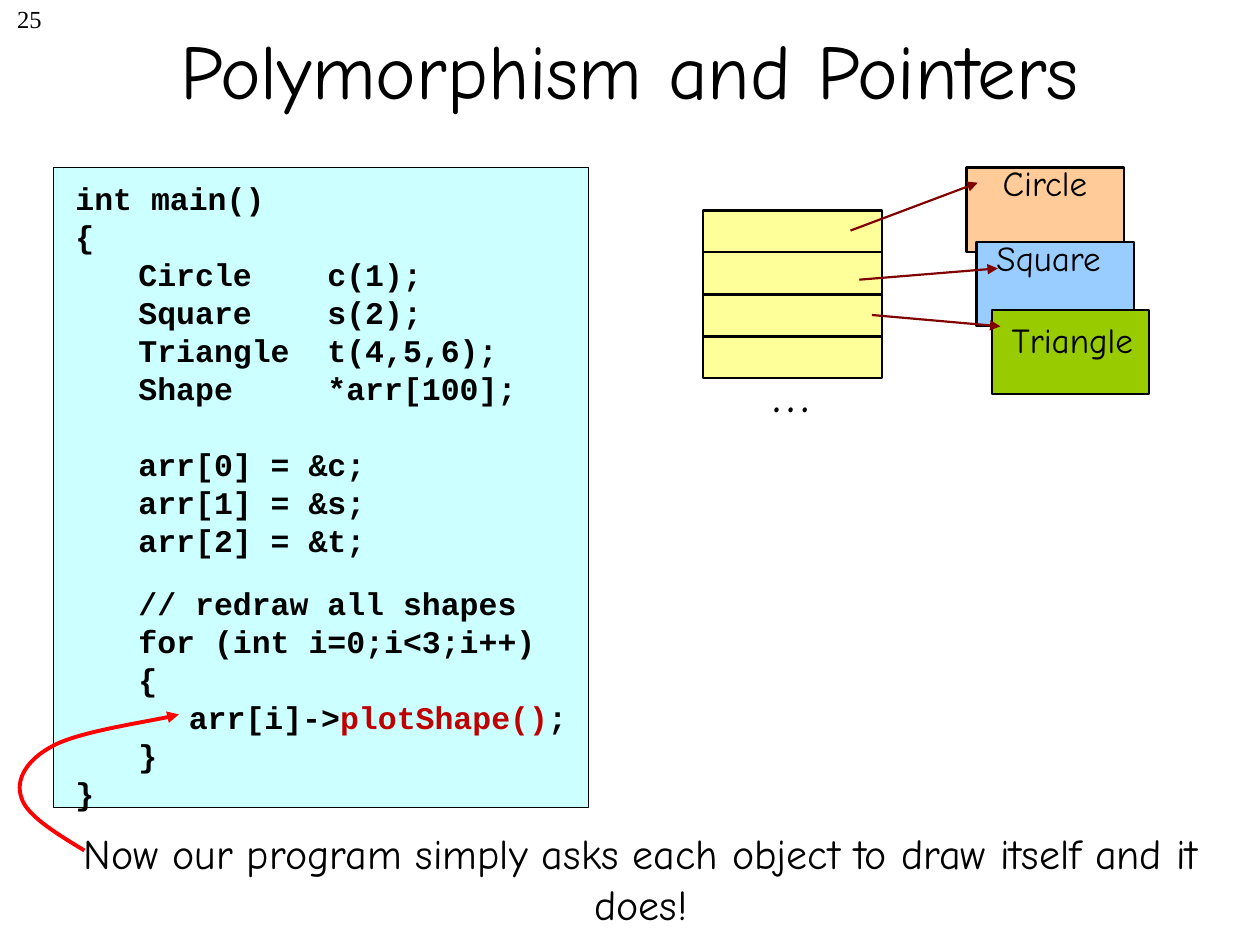
from pptx import Presentation
from pptx.dml.color import RGBColor
from pptx.enum.shapes import MSO_CONNECTOR, MSO_SHAPE
from pptx.enum.text import MSO_ANCHOR, PP_ALIGN
from pptx.oxml.ns import qn
from pptx.util import Inches, Pt
from lxml import etree

RECT, LINE = MSO_SHAPE.RECTANGLE, MSO_CONNECTOR.STRAIGHT
LEFT, CENTER, RIGHT = PP_ALIGN.LEFT, PP_ALIGN.CENTER, PP_ALIGN.RIGHT
MIDDLE = MSO_ANCHOR.MIDDLE

TITLE = "Polymorphism and Pointers"
CAPTION = "Now our program simply asks each object to draw itself and it does!"
CALL = "plotShape()"
CODE = [
    ["int main()", "{", "\tCircle\t\tc(1);", "\tSquare\t\ts(2);",
     "\tTriangle\tt(4,5,6);", "\tShape\t\t*arr[100];"],
    ["\tarr[0] = &c;", "\tarr[1] = &s;", "\tarr[2] = &t;"],
    ["\t// redraw all shapes", "\tfor (int i=0;i<3;i++)", "\t{",
     "      arr[i]->plotShape();", "\t}", "}"],
]
BLOCK_GAPS = [0, 21.7, 14.3]
CELL = (5.58, 1.67, 1.42, 1 / 3)
CELL_COUNT = 4
OBJECTS = [
    ("Circle", "FFCC99", (7.67, 1.33), (7.86, 1.23), (6.75, 1.83, 7.76, 1.45)),
    ("Square", "99CCFF", (7.75, 1.92), (7.81, 1.83), (6.82, 2.22, 7.92, 2.13)),
    ("Triangle", "99CC00", (7.87, 2.46), (7.93, 2.48), (6.92, 2.5, 7.94, 2.59)),
]
CURVE = [(0.67, 6.75), (0.44, 6.61), (0.21, 6.47), (0.17, 6.33), (0.12, 6.19),
         (0.21, 6.03), (0.42, 5.92), (0.62, 5.81), (1.29, 5.71), (1.42, 5.67)]


def rgb(value):
    """Turn a hex string into a colour."""
    return RGBColor.from_string(value)


def add_run(p, text, color="000000", **font):
    """Append a run whose font takes the given values."""
    r = p.add_run()
    r.text = text
    r.font.color.rgb = rgb(color)
    for name, value in font.items():
        setattr(r.font, name, value)


def add_text(s, box, text, size, align=CENTER, font="Comic Neue", wrap=True):
    """Add a text box and return its text frame."""
    tf = s.shapes.add_textbox(*map(Inches, box)).text_frame
    tf.word_wrap = wrap
    p = tf.paragraphs[0]
    p.alignment = align
    if text:
        add_run(p, text, size=Pt(size), name=font)
    return tf


def add_box(s, box, fill, width=1.25):
    """Add a filled rectangle with a black outline."""
    sp = s.shapes.add_shape(RECT, *map(Inches, box))
    sp.shadow.inherit = False
    sp.fill.solid()
    sp.fill.fore_color.rgb = rgb(fill)
    sp.line.color.rgb = rgb("000000")
    sp.line.width = Pt(width)


def style_arrow(sp, color, width):
    """Give a line its colour, width and arrowhead, and no shadow."""
    sp.line.color.rgb = rgb(color)
    sp.line.width = Pt(width)
    etree.SubElement(sp.line._get_or_add_ln(), qn("a:tailEnd"), type="triangle")
    if sp._element.spPr.find(qn("a:effectLst")) is None:
        etree.SubElement(sp._element.spPr, qn("a:effectLst"))


def add_curve(s, points):
    """Draw a curved arrow through a start point and Bezier triples."""
    start, *rest = [(Inches(x), Inches(y)) for x, y in points]
    fb = s.shapes.build_freeform(*start)
    fb.add_line_segments(rest, close=False)
    sp = fb.convert_to_shape()
    steps = list(sp._element.iter(qn("a:lnTo")))
    for i in range(0, len(steps), 3):
        curve = etree.Element(qn("a:cubicBezTo"))
        steps[i].addprevious(curve)
        for step in steps[i:i + 3]:
            curve.append(step[0])
            step.getparent().remove(step)
    sp.fill.background()
    sp.shadow.inherit = False
    style_arrow(sp, "FF0000", 2.25)


def add_code(s):
    """Add the listing with its method call highlighted."""
    tf = add_text(s, (0, 1.37, 4.92, 5.1), "", 18, LEFT)
    font = {"size": Pt(18), "name": "Courier New", "bold": True}
    lines = [(line, gap if i == 0 else 0)
             for block, gap in zip(CODE, BLOCK_GAPS)
             for i, line in enumerate(block)]
    for i, (line, gap) in enumerate(lines):
        p = tf.add_paragraph() if i else tf.paragraphs[0]
        p._p.get_or_add_pPr().set("marL", "0")
        p._p.get_or_add_pPr().set("indent", str(Inches(0.5)))
        p.line_spacing = Pt(21.7)
        p.space_before = Pt(gap)
        before, call, after = line.partition(CALL)
        for text, color in ((before, "000000"), (call, "C00000"), (after, "000000")):
            if text:
                add_run(p, text, color, **font)


def main():
    """Build the slide and save it."""
    prs = Presentation()
    prs.slide_width, prs.slide_height = Inches(10), Inches(7.5)
    s = prs.slides.add_slide(prs.slide_layouts[5])
    title = s.shapes.title
    title.left, title.top, title.width, title.height = map(
        Inches, (0.75, -0.08, 8.5, 1.25))
    title.text_frame.vertical_anchor = MIDDLE
    p = title.text_frame.paragraphs[0]
    p.alignment = CENTER
    add_run(p, TITLE, size=Pt(44), name="Comic Neue")

    add_text(s, (0, -0.02, 0.43, 0.5), "25", 14, RIGHT, "Times New Roman")
    add_box(s, (0.42, 1.33, 4.25, 5.08), "CCFFFF", 0.25)
    add_code(s)
    add_text(s, (0.42, 6.52, 9.33, 0.91), CAPTION, 24)
    add_curve(s, CURVE)

    x, y, w, h = CELL
    for i in range(CELL_COUNT):
        add_box(s, (x, y + i * h, w, h), "FFFF99")
    add_text(s, (6.03, 2.78, 0.5, 0.63), "…", 32, wrap=False)
    for name, fill, corner, label, arrow in OBJECTS:
        add_box(s, (*corner, 1.25, 0.67), fill)
        cn = s.shapes.add_connector(LINE, *map(Inches, arrow))
        style_arrow(cn, "800000", 1.25)
        add_text(s, (*label, 1.25, 0.43), name, 20, LEFT)
    prs.save("out.pptx")


if __name__ == "__main__":
    main()
